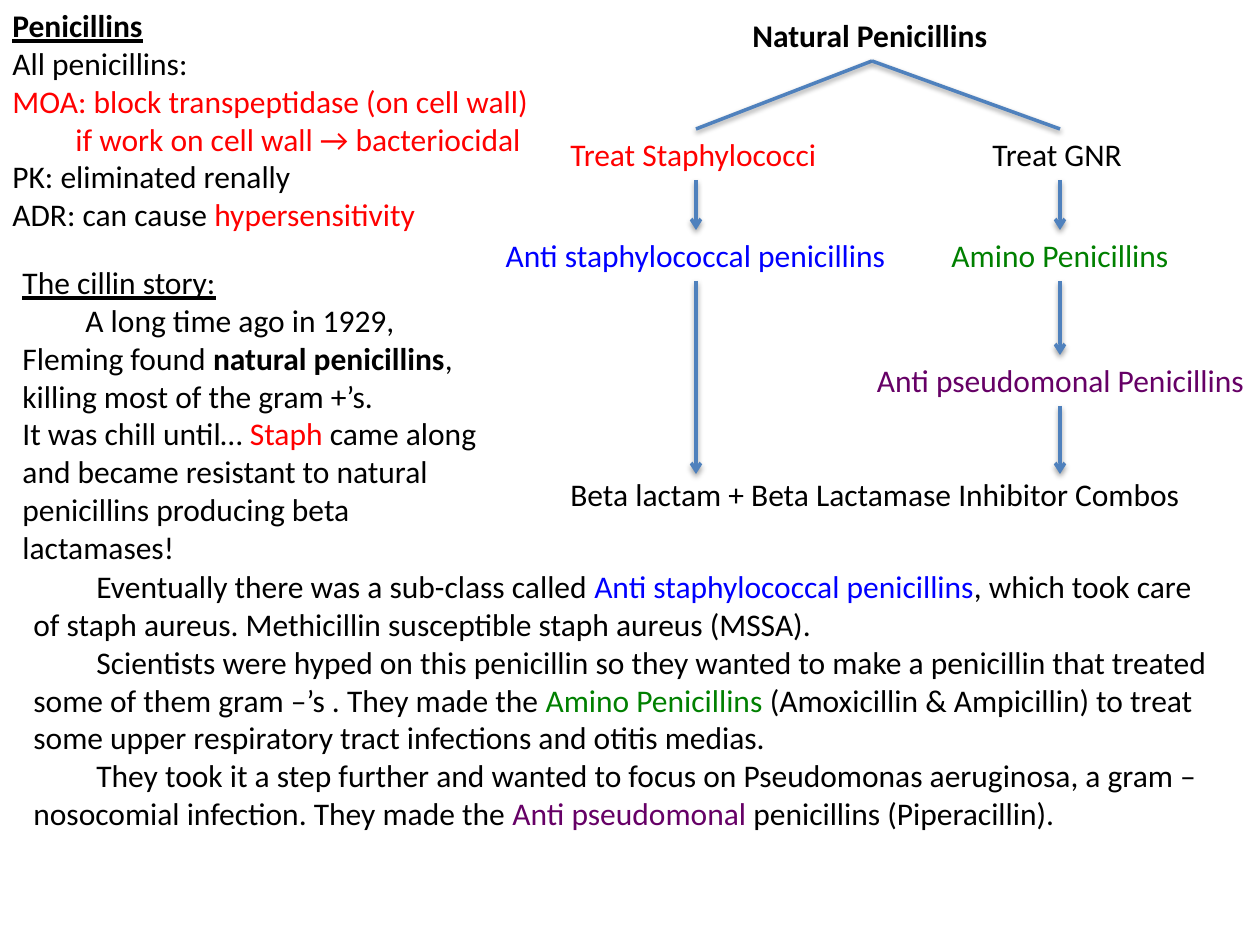
"""Build the slide on penicillin classes and the cillin story."""
from lxml.etree import SubElement
from pptx import Presentation
from pptx.dml.color import RGBColor
from pptx.enum.shapes import MSO_CONNECTOR
from pptx.enum.text import MSO_AUTO_SIZE, PP_ALIGN
from pptx.oxml.ns import qn
from pptx.util import Emu, Pt

PX = 914400 / 126
COLORS = {
    "black": "000000", "red": "FF0000", "blue": "0000FF",
    "green": "008000", "purple": "660066", "line": "4F81BD",
}

SUMMARY = [
    [("Penicillins", "black", "bold underline")],
    [("All penicillins:", "black")],
    [("MOA: block transpeptidase (on cell wall)", "red")],
    [("\tif work on cell wall → bacteriocidal", "red")],
    [("PK: eliminated renally", "black")],
    [("ADR: can cause ", "black"), ("hypersensitivity", "red")],
]
STORY_START = [
    [("The cillin story:", "black", "underline")],
    [("\tA long time ago in 1929, Fleming found ", "black"),
     ("natural penicillins", "black", "bold"),
     (", killing most of the gram +’s.", "black")],
    [("It was chill until… ", "black"), ("Staph ", "red"),
     ("came along and became resistant to natural penicillins "
      "producing beta lactamases!", "black")],
]
STORY_REST = [
    [("\tEventually there was a sub-class called ", "black"),
     ("Anti staphylococcal penicillins", "blue"),
     (", which took care of staph aureus. Methicillin susceptible "
      "staph aureus (MSSA).", "black")],
    [("\tScientists were hyped on this penicillin so they wanted to make a "
      "penicillin that treated some of them gram –’s . They made the ", "black"),
     ("Amino Penicillins ", "green"),
     ("(Amoxicillin & Ampicillin) to treat some upper respiratory tract "
      "infections and otitis medias.", "black")],
    [("\tThey took it a step further and wanted to focus on Pseudomonas "
      "aeruginosa, a gram – nosocomial infection. They made the ", "black"),
     ("Anti pseudomonal", "purple"),
     (" penicillins (Piperacillin).", "black")],
]
PASSAGES = [
    (SUMMARY, (0, 0, 548, 242), False),
    (STORY_START, (10, 257, 500, 318), True),
    (STORY_REST, (21, 561, 1200, 280), True),
]

LABEL_HEIGHT = 51
STAPH_X, TOP_X, GNR_X = 696, 872, 1060
TREAT_Y, CLASS_Y, PSEUDO_Y, COMBO_Y = 129, 230, 355, 469
LABELS = [
    ("Natural Penicillins", "black", "bold", 740, 10, 264, PP_ALIGN.LEFT),
    ("Treat Staphylococci", "red", "", 558, TREAT_Y, 277, PP_ALIGN.LEFT),
    ("Treat GNR", "black", "", 980, TREAT_Y, 160, PP_ALIGN.LEFT),
    ("Anti staphylococcal penicillins", "blue", "", 490, CLASS_Y, 411, PP_ALIGN.CENTER),
    ("Amino Penicillins", "green", "", 937, CLASS_Y, 246, PP_ALIGN.CENTER),
    ("Anti pseudomonal Penicillins", "purple", "", 862, PSEUDO_Y, 397, PP_ALIGN.CENTER),
    ("Beta lactam + Beta Lactamase Inhibitor Combos", "black", "",
     558, COMBO_Y, 643, PP_ALIGN.LEFT),
]
BRANCHES = [(TOP_X, 61, x, TREAT_Y) for x in (STAPH_X, GNR_X)]
COMBO_TIP = COMBO_Y + 5
ARROWS = [
    (x, start + LABEL_HEIGHT, x, tip)
    for x, start, tip in [
        (STAPH_X, TREAT_Y, CLASS_Y), (STAPH_X, CLASS_Y, COMBO_TIP),
        (GNR_X, TREAT_Y, CLASS_Y), (GNR_X, CLASS_Y, PSEUDO_Y),
        (GNR_X, PSEUDO_Y, COMBO_TIP),
    ]
]


def px(*lengths):
    return [Emu(round(length * PX)) for length in lengths]


def add_text(slide, paragraphs, place, wrap, align=PP_ALIGN.LEFT):
    frame = slide.shapes.add_textbox(*px(*place)).text_frame
    frame.word_wrap = wrap
    frame.auto_size = MSO_AUTO_SIZE.SHAPE_TO_FIT_TEXT
    for number, pieces in enumerate(paragraphs):
        paragraph = frame.add_paragraph() if number else frame.paragraphs[0]
        paragraph.alignment = align
        for words, color, *style in pieces:
            run = paragraph.add_run()
            run.text = words
            run.font.name = "Calibri"
            run.font.size = Pt(18)
            run.font.color.rgb = RGBColor.from_string(COLORS[color])
            run.font.bold = "bold" in " ".join(style)
            run.font.underline = "underline" in " ".join(style)


def add_line(slide, ends, arrow):
    connector = slide.shapes.add_connector(MSO_CONNECTOR.STRAIGHT, *px(*ends))
    connector.line.width = Pt(2)
    connector.line.color.rgb = RGBColor.from_string(COLORS["line"])
    if arrow:
        SubElement(connector.line._get_or_add_ln(), qn("a:tailEnd"), type="arrow")


def main():
    deck = Presentation()
    deck.slide_width, deck.slide_height = px(1260, 945)
    slide = deck.slides.add_slide(deck.slide_layouts[6])
    for paragraphs, place, wrap in PASSAGES:
        add_text(slide, paragraphs, place, wrap)
    for words, color, style, left, top, width, align in LABELS:
        place = (left, top, width, LABEL_HEIGHT)
        add_text(slide, [[(words, color, style)]], place, False, align)
    for ends in BRANCHES:
        add_line(slide, ends, False)
    for ends in ARROWS:
        add_line(slide, ends, True)
    deck.save("out.pptx")


if __name__ == "__main__":
    main()
